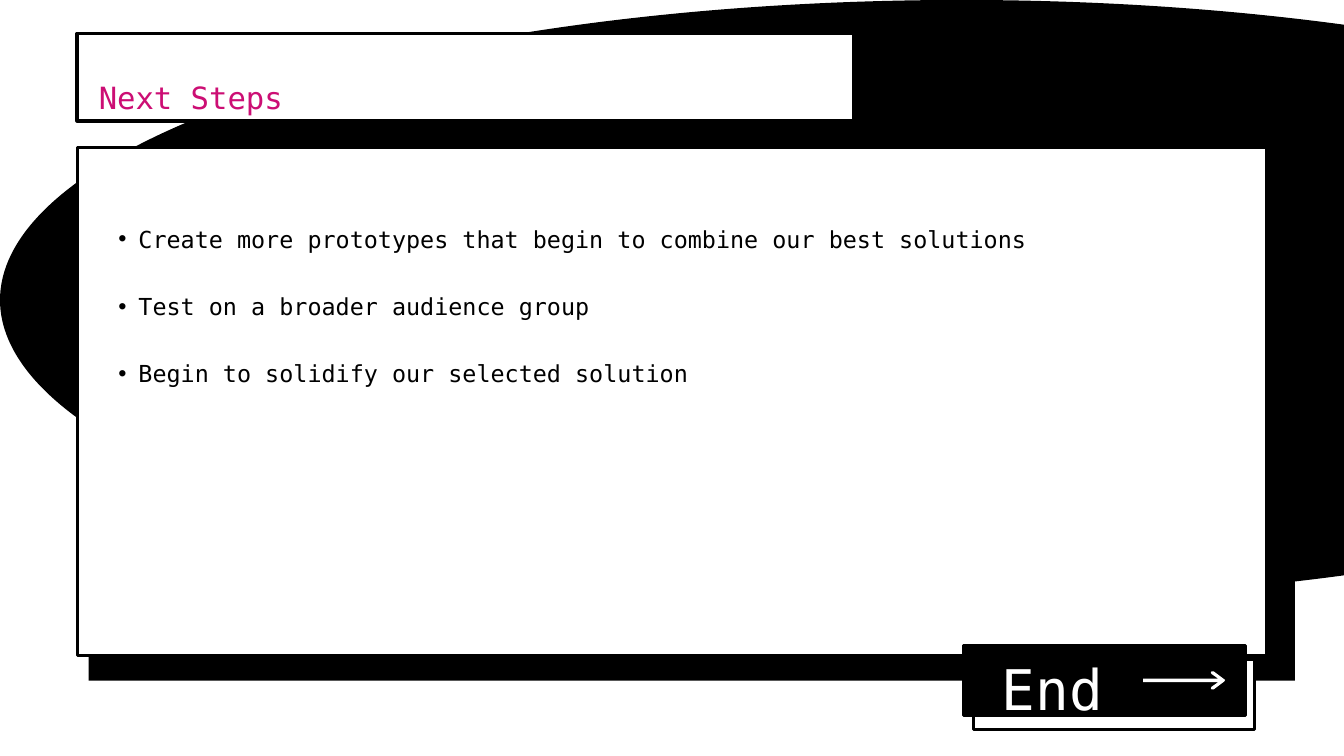
import pptx
import pptx.util
import pptx.dml.color
import pptx.enum.shapes
import pptx.oxml
import pptx.oxml.ns

Inches, Pt = pptx.util.Inches, pptx.util.Pt
SHAPES = pptx.enum.shapes.MSO_SHAPE
FONT = "DejaVu Sans Mono"
BLACK, WHITE, PINK = "000000", "FFFFFF", "CC0E74"


def style(sp, fill, line=None, width=0):
    """Give a shape a plain fill and an optional outline, without shadow."""
    sp.shadow.inherit = False
    sp.fill.solid()
    sp.fill.fore_color.rgb = pptx.dml.color.RGBColor.from_string(fill)
    if line:
        sp.line.color.rgb = pptx.dml.color.RGBColor.from_string(line)
        sp.line.width = Pt(width)
    else:
        sp.line.fill.background()


def add_text(box, lines, size, color, spacing, bullet=False, gap=0):
    """Add a text box without margins; gap is the space between paragraphs in points."""
    tf = slide.shapes.add_textbox(*[Inches(v) for v in box]).text_frame
    tf.word_wrap = True
    tf.margin_left = tf.margin_top = tf.margin_right = tf.margin_bottom = 0
    for i, line in enumerate(lines):
        p = tf.add_paragraph() if i else tf.paragraphs[0]
        p.line_spacing = spacing
        if i:
            p.space_before = Pt(gap)
        if bullet:
            pPr = p._p.get_or_add_pPr()
            pPr.set("marL", str(Inches(0.59)))
            pPr.set("indent", str(Inches(-0.3)))
            ns = pptx.oxml.ns.nsdecls("a")
            pPr.append(pptx.oxml.parse_xml(f'<a:buFont {ns} typeface="Arial"/>'))
            pPr.append(pptx.oxml.parse_xml(f'<a:buChar {ns} char="•"/>'))
        r = p.add_run()
        r.text = line
        r.font.name = FONT
        r.font.size = Pt(size)
        r.font.color.rgb = pptx.dml.color.RGBColor.from_string(color)


prs = pptx.Presentation()
prs.slide_width, prs.slide_height = Inches(20), Inches(11.25)
slide = prs.slides.add_slide(prs.slide_layouts[6])

# Background ellipse, card with its shadow block, button and title frame
shapes = [
    (SHAPES.OVAL, (0, 0, 28.62, 8.93), BLACK, None, 0),
    (SHAPES.RECTANGLE, (1.32, 2.33, 17.95, 7.8), BLACK, None, 0),
    (SHAPES.RECTANGLE, (1.15, 2.19, 17.7, 7.57), WHITE, BLACK, 3.2),
    (SHAPES.RECTANGLE, (14.48, 9.81, 4.19, 1.05), WHITE, BLACK, 3.2),
    (SHAPES.RECTANGLE, (14.34, 9.6, 4.19, 1.05), BLACK, BLACK, 3.2),
    (SHAPES.RECTANGLE, (1.15, 0.5, 11.55, 1.3), WHITE, BLACK, 3.9),
]
for kind, box, fill, line, width in shapes:
    sp = slide.shapes.add_shape(kind, *[Inches(v) for v in box])
    style(sp, fill, line, width)

# Button arrow
outline = [(18.23, 10.12), (18.22, 10.11), (18.06, 9.99), (18.03, 9.99),
           (18.02, 10.01), (18.03, 10.03), (18.13, 10.1), (17.01, 10.1),
           (17.01, 10.15), (18.13, 10.15), (18.03, 10.22), (18.02, 10.24),
           (18.03, 10.26), (18.06, 10.26), (18.22, 10.14)]
points = [(Inches(x), Inches(y)) for x, y in outline]
builder = slide.shapes.build_freeform(*points[0])
builder.add_line_segments(points[1:], close=True)
style(builder.convert_to_shape(), WHITE)

add_text((14.91, 9.44, 2.1, 1.06), ["End"], 60, WHITE, 1.3)
add_text((1.47, 1.07, 9.94, 0.65), ["Next Steps"], 32.8, PINK, 1.2)
steps = [
    "Create more prototypes that begin to combine our best solutions",
    "Test on a broader audience group",
    "Begin to solidify our selected solution",
]
add_text((1.47, 3.26, 16.95, 2.5), steps, 25.1, BLACK, 1.2, bullet=True, gap=36)

prs.save("out.pptx")
